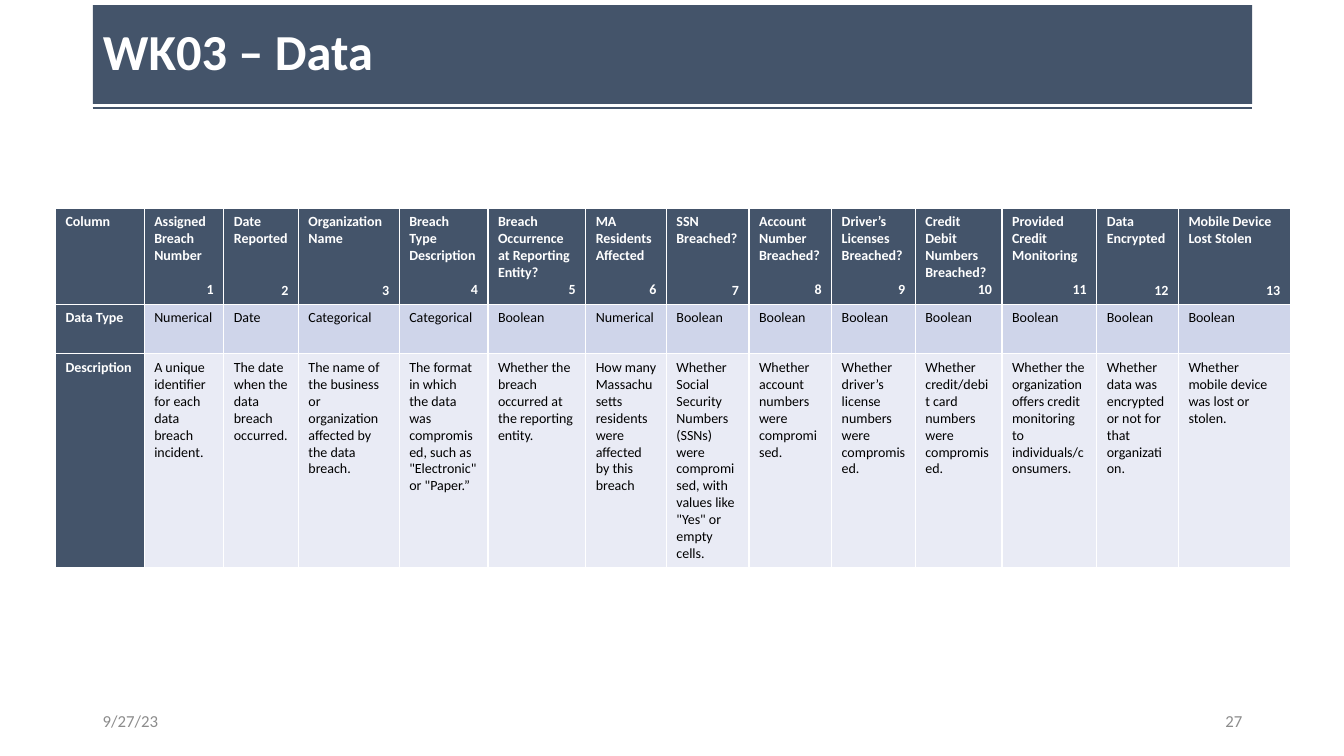
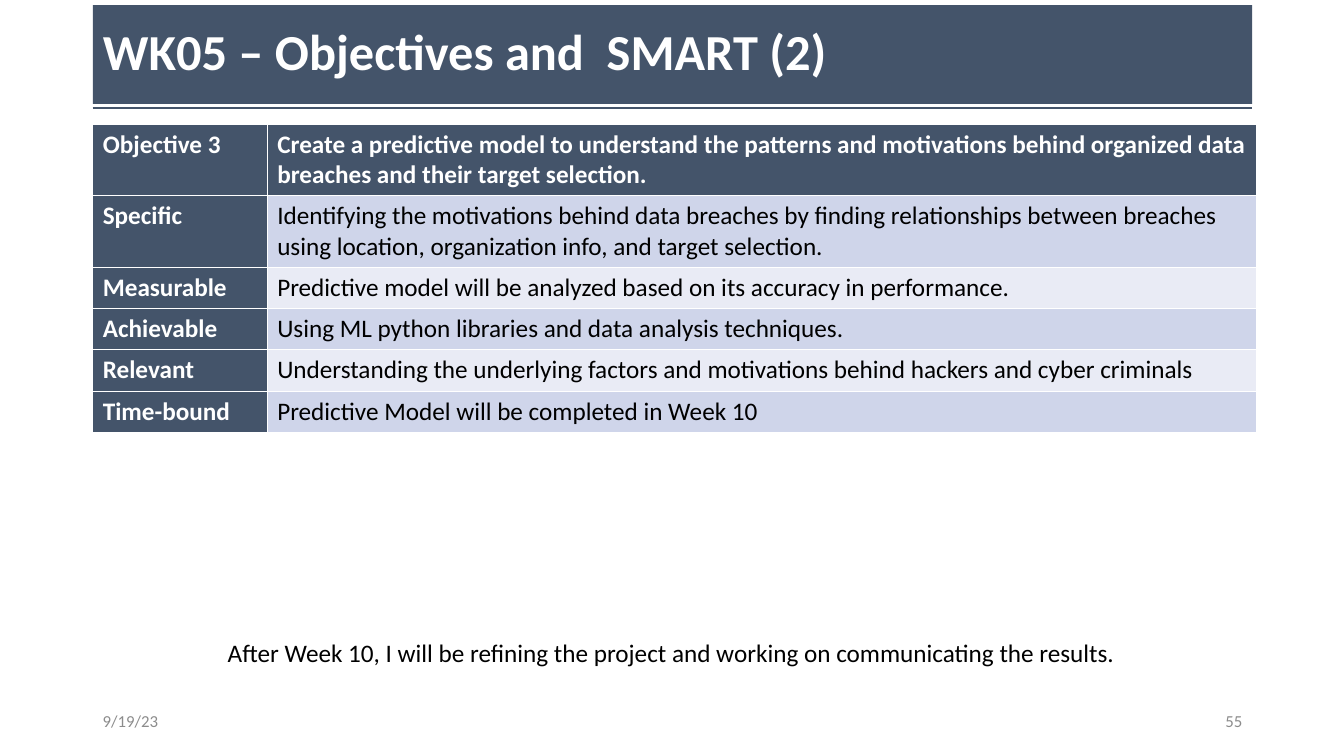
from pptx import Presentation
from pptx.dml.color import RGBColor
from pptx.enum.shapes import MSO_CONNECTOR
from pptx.enum.text import MSO_ANCHOR, MSO_AUTO_SIZE, PP_ALIGN
from pptx.oxml.ns import qn
from pptx.util import Pt
from lxml import etree

STRAIGHT = MSO_CONNECTOR.STRAIGHT
MIDDLE, TOP = MSO_ANCHOR.MIDDLE, MSO_ANCHOR.TOP
NO_FIT, GROW = MSO_AUTO_SIZE.NONE, MSO_AUTO_SIZE.SHAPE_TO_FIT_TEXT
LEFT, RIGHT = PP_ALIGN.LEFT, PP_ALIGN.RIGHT

EMU_PER_PX = 9144
TITLE_ONLY = 5
HEADER_NAME_LINES = 4
HEADER_LINE_POINTS = 12.2

BREACH_COLUMNS = [
    (79, "Assigned Breach Number", 3, "Numerical",
     "A unique identifier for each data breach incident."),
    (74, "Date Reported", 2, "Date",
     "The date when the data breach occurred."),
    (100, "Organization Name", 2, "Categorical",
     "The name of the business or organization affected by the data breach."),
    (88, "Breach Type Description", 3, "Categorical",
     'The format in which the data was compromised, such as "Electronic" or "Paper.”'),
    (97, "Breach Occurrence at Reporting Entity?", 4, "Boolean",
     "Whether the breach occurred at the reporting entity."),
    (80, "MA Residents Affected", 3, "Numerical",
     "How many Massachusetts residents were affected by this breach"),
    (82, "SSN Breached?", 2, "Boolean",
     "Whether Social Security Numbers (SSNs) were compromised, "
     'with values like "Yes" or empty cells.'),
    (82, "Account Number Breached?", 3, "Boolean",
     "Whether account numbers were compromised."),
    (83, "Driver’s Licenses Breached?", 3, "Boolean",
     "Whether driver’s license numbers were compromised."),
    (86, "Credit Debit Numbers Breached?", 4, "Boolean",
     "Whether credit/debit card numbers were compromised."),
    (94, "Provided Credit Monitoring", 3, "Boolean",
     "Whether the organization offers credit monitoring to individuals/consumers."),
    (81, "Data Encrypted", 2, "Boolean",
     "Whether data was encrypted or not for that organization."),
    (111, "Mobile Device Lost Stolen", 2, "Boolean",
     "Whether mobile device was lost or stolen."),
]

OBJECTIVE_ROWS = [
    ("Objective 3", "Create a predictive model to understand the patterns and motivations "
     "behind organized data breaches and their target selection."),
    ("Specific", "Identifying the motivations behind data breaches by finding relationships "
     "between breaches using location, organization info, and target selection."),
    ("Measurable", "Predictive model will be analyzed based on its accuracy in performance."),
    ("Achievable", "Using ML python libraries and data analysis techniques."),
    ("Relevant", "Understanding the underlying factors and motivations behind hackers "
     "and cyber criminals"),
    ("Time-bound", "Predictive Model will be completed in Week 10"),
]


def px(length):
    return length * EMU_PER_PX


class Deck:
    FONT = "Calibri"
    COLORS = {
        "slate": "44546A",
        "white": "FFFFFF",
        "black": "000000",
        "gray": "8C8C8C",
        "band_dark": "CFD5EA",
        "band_light": "E9EBF5",
    }

    def __init__(self):
        self.presentation = Presentation()
        self.presentation.slide_width = px(1333)
        self.presentation.slide_height = px(750)
        self.slide = None

    def color(self, name):
        return RGBColor.from_string(self.COLORS[name])

    def fill(self, target, color):
        target.fill.solid()
        target.fill.fore_color.rgb = self.color(color)

    def add_text_run(self, paragraph, text, size, color, bold=False, align=LEFT):
        paragraph.alignment = align
        run = paragraph.add_run()
        run.text = text
        run.font.name = self.FONT
        run.font.size = Pt(size)
        run.font.bold = bold
        run.font.color.rgb = self.color(color)

    def add_slide(self, title, date, number):
        layout = self.presentation.slide_layouts[TITLE_ONLY]
        self.slide = self.presentation.slides.add_slide(layout)
        self.rule(92, 107, 1242)
        self.title(title)
        self.text(92, 695, 300, 40, date, 12, "gray", anchor=MIDDLE)
        self.text(942, 695, 300, 40, number, 12, "gray", RIGHT, MIDDLE)

    def rule(self, left, top, right):
        line = self.slide.shapes.add_connector(STRAIGHT, px(left), px(top), px(right), px(top))
        line.line.color.rgb = self.color("slate")
        line.line.width = Pt(1.5)
        etree.SubElement(line.element.spPr, qn("a:effectLst"))

    def title(self, text):
        shape = self.slide.shapes.title
        shape.left, shape.top, shape.width, shape.height = px(92), px(5), px(1150), px(98)
        self.fill(shape, "slate")
        frame = shape.text_frame
        frame.auto_size = NO_FIT
        frame.vertical_anchor = MIDDLE
        frame.paragraphs[0].line_spacing = 0.9
        self.add_text_run(frame.paragraphs[0], text, 36, "white", True)

    def text(self, left, top, width, height, text, size, color,
             align=LEFT, anchor=TOP, wrap=True):
        box = self.slide.shapes.add_textbox(px(left), px(top), px(width), px(height))
        frame = box.text_frame
        frame.word_wrap = wrap
        frame.auto_size = NO_FIT if wrap else GROW
        frame.vertical_anchor = anchor
        self.add_text_run(frame.paragraphs[0], text, size, color, align=align)

    def borders(self, cell):
        properties = cell._tc.get_or_add_tcPr()
        for side in ("a:lnL", "a:lnR", "a:lnT", "a:lnB"):
            line = etree.SubElement(properties, qn(side), w=str(Pt(1)))
            solid = etree.SubElement(line, qn("a:solidFill"))
            etree.SubElement(solid, qn("a:srgbClr"), val=self.COLORS["white"])

    def table(self, left, top, widths, heights, rows, size):
        frame = self.slide.shapes.add_table(
            len(rows), len(widths), px(left), px(top), px(sum(widths)), px(sum(heights)))
        table = frame.table
        for column, width in zip(table.columns, widths):
            column.width = px(width)
        for row, height in zip(table.rows, heights):
            row.height = px(height)
        for row_index, row in enumerate(rows):
            for column_index, text in enumerate(row):
                heading = row_index == 0 or column_index == 0
                band = "band_dark" if row_index % 2 else "band_light"
                cell = table.cell(row_index, column_index)
                self.borders(cell)
                self.fill(cell, "slate" if heading else band)
                self.add_text_run(cell.text_frame.paragraphs[0], text, size,
                                  "white" if heading else "black", heading)
        return table

    def number_header(self, table, name_lines, size):
        for number, lines in enumerate(name_lines, 1):
            paragraph = table.cell(0, number).text_frame.add_paragraph()
            paragraph.space_before = Pt((HEADER_NAME_LINES - lines) * HEADER_LINE_POINTS)
            self.add_text_run(paragraph, str(number), size, "white", True, RIGHT)


def add_data_slide(deck):
    widths, names, name_lines, types, descriptions = zip(*BREACH_COLUMNS)
    rows = [("Column", *names), ("Data Type", *types), ("Description", *descriptions)]
    deck.add_slide("WK03 – Data", "9/27/23", "27")
    table = deck.table(55, 207, (88, *widths), (95, 49, 212), rows, 10)
    deck.number_header(table, name_lines, 10)


def add_objective_slide(deck):
    deck.add_slide("WK05 – Objectives and  SMART (2)", "9/19/23", "55")
    deck.table(92, 123, (173, 981), (71, 71, 41, 41, 41, 41), OBJECTIVE_ROWS, 18)
    deck.text(216, 627, 905, 40,
              "After Week 10, I will be refining the project and working on "
              "communicating the results.", 18, "black", wrap=False)


def main():
    deck = Deck()
    add_data_slide(deck)
    add_objective_slide(deck)
    deck.presentation.save("out.pptx")


if __name__ == "__main__":
    main()
